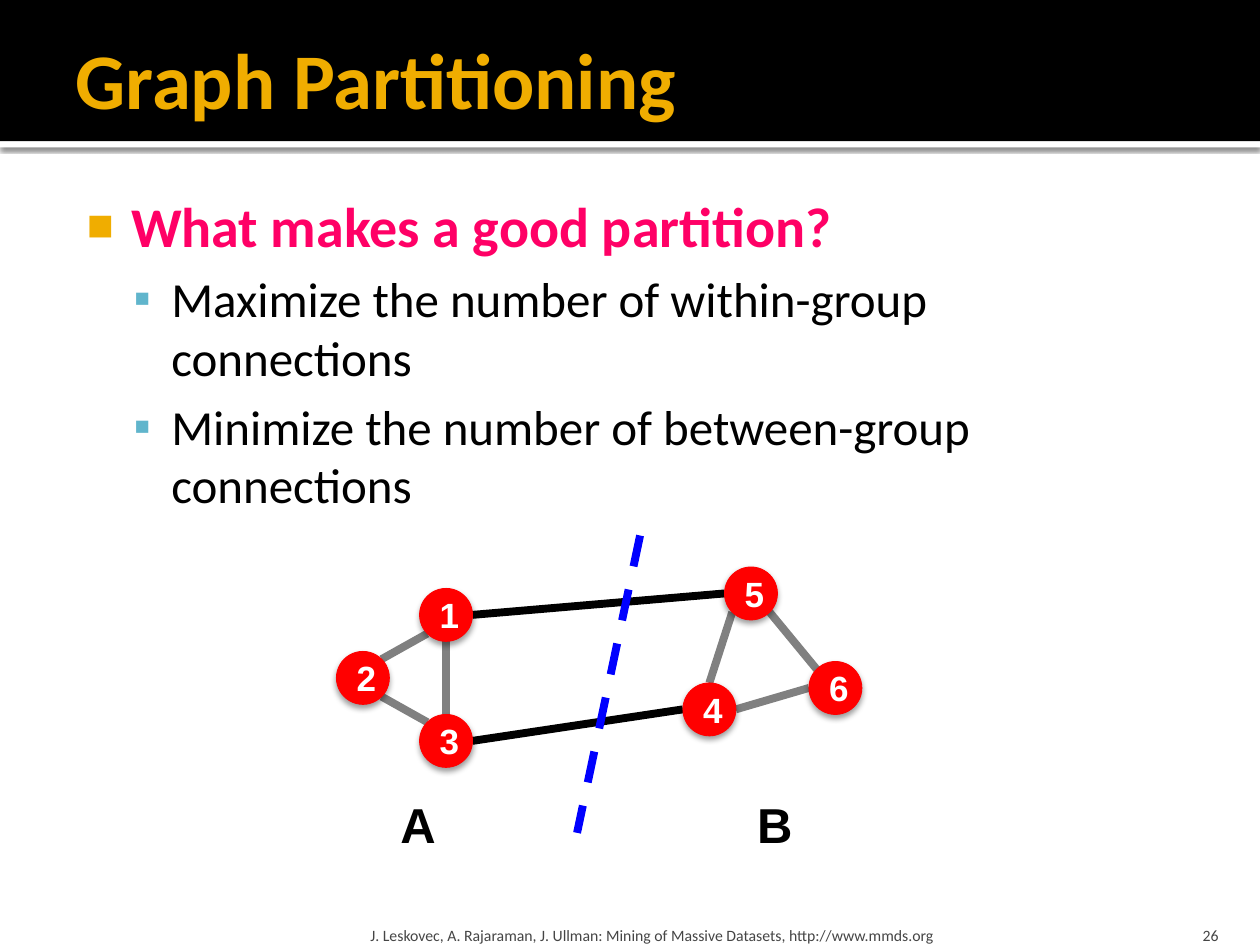
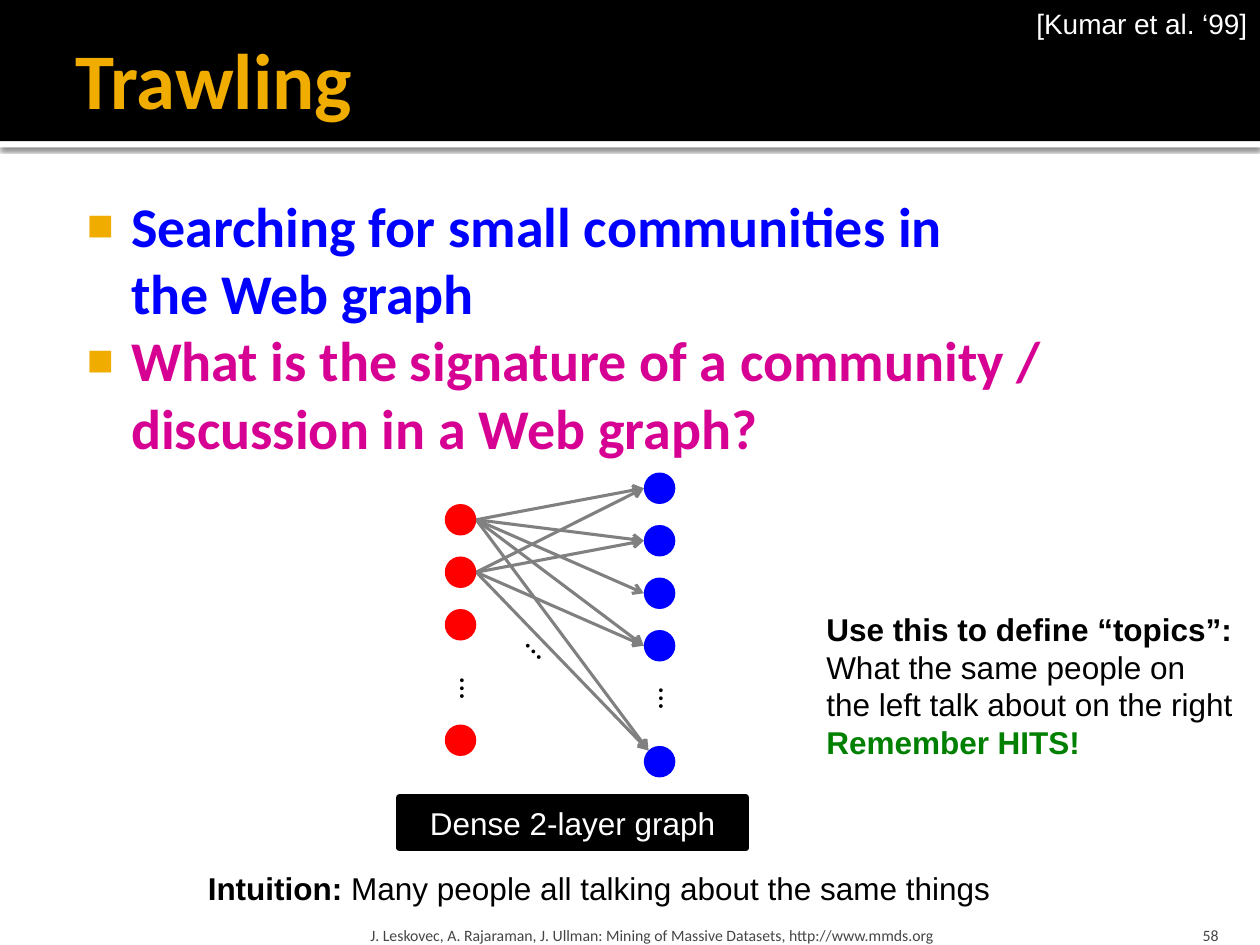
from dataclasses import dataclass
from math import cos, radians, sin

from lxml import etree
from pptx import Presentation
from pptx.dml.color import RGBColor
from pptx.enum.dml import MSO_LINE
from pptx.enum.shapes import MSO_CONNECTOR, MSO_SHAPE
from pptx.enum.text import MSO_ANCHOR, MSO_AUTO_SIZE, PP_ALIGN
from pptx.oxml.ns import qn
from pptx.util import Inches, Pt

RECTANGLE, ELLIPSE = MSO_SHAPE.RECTANGLE, MSO_SHAPE.OVAL
STRAIGHT = MSO_CONNECTOR.STRAIGHT
DASH = MSO_LINE.DASH
TOP, MIDDLE, BOTTOM = MSO_ANCHOR.TOP, MSO_ANCHOR.MIDDLE, MSO_ANCHOR.BOTTOM
LEFT, CENTER, RIGHT = PP_ALIGN.LEFT, PP_ALIGN.CENTER, PP_ALIGN.RIGHT
NO_FIT, GROW = MSO_AUTO_SIZE.NONE, MSO_AUTO_SIZE.SHAPE_TO_FIT_TEXT

COLORS = {
    "black": "000000", "white": "FFFFFF", "gold": "F0AD00", "teal": "60B5CC",
    "pink": "FF0066", "magenta": "D60093", "blue": "0000FF", "red": "FF0000",
    "green": "008000", "gray": "808080", "footer": "454545",
}
FOOTER = "J. Leskovec, A. Rajaraman, J. Ullman: Mining of Massive Datasets, http://www.mmds.org"
DEFAULT_INSETS = (0.1, 0.05, 0.1, 0.05)

# Directions on a node's rim, in degrees clockwise from the right
EAST, SOUTH_EAST, SOUTH, SOUTH_WEST, WEST, NORTH_WEST, NORTH = range(0, 271, 45)


@dataclass(frozen=True)
class Span:
    """A stretch of text in one format."""
    text: str
    size: float
    color: str = "black"
    bold: bool = False
    font: str = "Arial"


@dataclass(frozen=True)
class Bullet:
    text: str
    color: str = "black"
    level: int = 0


@dataclass(frozen=True)
class BulletStyle:
    size: float
    bold: bool
    margin: float
    hanging: float
    character: str
    color: str
    percent: int


BULLET_STYLES = [
    BulletStyle(32, True, 0.48, 0.35, "■", "gold", 80),
    BulletStyle(28, False, 0.8, 0.3, "▪", "teal", 100),
]


@dataclass(frozen=True)
class Shadow:
    opacity: int
    blur: float
    distance: float


BAND_SHADOW = Shadow(60, 2.5, 0.8)
NODE_SHADOW = Shadow(38, 3.5, 2)


@dataclass(frozen=True)
class Node:
    left: float
    top: float
    size: float

    def rim(self, degrees: float) -> tuple[float, float]:
        radius, angle = self.size / 2, radians(degrees)
        return (self.left + radius * (1 + cos(angle)),
                self.top + radius * (1 + sin(angle)))


def rgb(name: str) -> RGBColor:
    return RGBColor.from_string(COLORS[name])


def format_run(run, span: Span) -> None:
    run.font.name, run.font.size, run.font.bold = span.font, Pt(span.size), span.bold
    run.font.color.rgb = rgb(span.color)


def format_frame(text_frame, anchor, insets=DEFAULT_INSETS, wrap=True) -> None:
    text_frame.auto_size = NO_FIT if wrap else GROW
    text_frame.word_wrap = wrap
    text_frame.vertical_anchor = anchor
    (text_frame.margin_left, text_frame.margin_top,
     text_frame.margin_right, text_frame.margin_bottom) = map(Inches, insets)


def fill_text(text_frame, lines: list[list[Span]], align=LEFT) -> None:
    for index, spans in enumerate(lines):
        paragraph = text_frame.add_paragraph() if index else text_frame.paragraphs[0]
        paragraph.alignment = align
        for span in spans:
            first_run = len(paragraph.runs)
            if first_run:
                paragraph.add_run().text = span.text
            else:
                paragraph.text = span.text
            for run in paragraph.runs[first_run:]:
                format_run(run, span)


def add_text(slide, box, lines: list[list[Span]], align=LEFT, anchor=TOP,
             insets=DEFAULT_INSETS, wrap=False, rotation: float = 0) -> None:
    shape = slide.shapes.add_textbox(*map(Inches, box))
    shape.rotation = rotation
    format_frame(shape.text_frame, anchor, insets, wrap)
    fill_text(shape.text_frame, lines, align)


def add_block(slide, kind, box, fill: str, line_width: float = 0,
              shadow: Shadow | None = None, label: Span | None = None, anchor=MIDDLE):
    shape = slide.shapes.add_shape(kind, *map(Inches, box))
    shape.fill.solid()
    shape.fill.fore_color.rgb = rgb(fill)
    if line_width:
        shape.line.color.rgb = rgb(fill)
        shape.line.width = Pt(line_width)
    else:
        shape.line.fill.background()
    shape.shadow.inherit = False
    if shadow:
        effects = shape.element.spPr.find(qn("a:effectLst"))
        outer = etree.SubElement(
            effects, qn("a:outerShdw"), blurRad=str(Pt(shadow.blur)),
            dist=str(Pt(shadow.distance)), dir="5400000", algn="t", rotWithShape="0")
        color = etree.SubElement(outer, qn("a:srgbClr"), val=COLORS["black"])
        etree.SubElement(color, qn("a:alpha"), val=str(shadow.opacity * 1000))
    if label:
        format_frame(shape.text_frame, anchor)
        fill_text(shape.text_frame, [[label]], CENTER)
    return shape


def add_node(slide, node: Node, fill: str, **options) -> None:
    add_block(slide, ELLIPSE, (node.left, node.top, node.size, node.size), fill, **options)


def add_line(slide, start, end, color: str, width: float, dashed=False, arrow=False) -> None:
    connector = slide.shapes.add_connector(STRAIGHT, *map(Inches, (*start, *end)))
    connector.line.color.rgb = rgb(color)
    connector.line.width = Pt(width)
    if dashed:
        connector.line.dash_style = DASH
    properties = connector.element.spPr
    if arrow:
        etree.SubElement(properties.find(qn("a:ln")), qn("a:tailEnd"), type="arrow")
    etree.SubElement(properties, qn("a:effectLst"))


def place(shape, box) -> None:
    shape.left, shape.top, shape.width, shape.height = map(Inches, box)


def fill_bullets(text_frame, bullets: list[Bullet]) -> None:
    text_frame.text = "\n".join(bullet.text for bullet in bullets)
    for paragraph, bullet in zip(text_frame.paragraphs, bullets):
        style = BULLET_STYLES[bullet.level]
        paragraph.level = bullet.level
        properties = paragraph._p.get_or_add_pPr()
        properties.set("marL", str(Inches(style.margin)))
        properties.set("indent", str(-Inches(style.hanging)))
        color = etree.SubElement(properties, qn("a:buClr"))
        etree.SubElement(color, qn("a:srgbClr"), val=COLORS[style.color])
        etree.SubElement(properties, qn("a:buSzPct"), val=str(style.percent * 1000))
        etree.SubElement(properties, qn("a:buFont"), typeface="Arial")
        etree.SubElement(properties, qn("a:buChar"), char=style.character)
        if bullet.level == 0:
            paragraph.space_before = Pt(0)
        for run in paragraph.runs:
            format_run(run, Span("", style.size, bullet.color, style.bold, "Calibri"))


def prepare_layout(presentation, slide) -> None:
    """Put the header bands on the layout, behind every slide's content."""
    layout = slide.slide_layout
    for placeholder in list(layout.placeholders):
        if placeholder.placeholder_format.idx >= 10:
            placeholder.element.getparent().remove(placeholder.element)
    bands = [
        add_block(slide, RECTANGLE, (0, 1.12, 10, 0.05), "white", shadow=BAND_SHADOW),
        add_block(slide, RECTANGLE, (0, 0, 10, 1.12), "black"),
    ]
    for position, band in enumerate(bands, start=2):
        layout.shapes.element.insert(position, band.element)


def add_base_slide(presentation, title: str, bullets: list[Bullet], number: int):
    slide = presentation.slides.add_slide(presentation.slide_layouts[1])
    if len(presentation.slides) == 1:
        prepare_layout(presentation, slide)
    heading, body = slide.shapes.title, slide.placeholders[1]
    place(heading, (0.5, 0.08, 9, 1.08))
    format_frame(heading.text_frame, MIDDLE, (0.1, 0.05, 0.05, 0.05))
    fill_text(heading.text_frame, [[Span(title, 45, "gold", True, "Calibri")]])
    place(body, (0.5, 1.42, 9, 5.75))
    format_frame(body.text_frame, TOP, (0.06, 0.1, 0.1, 0.05))
    fill_bullets(body.text_frame, bullets)
    for text, left, width, inset, align in (
            (FOOTER, 2.89, 6.02, 0.05, LEFT), (str(number), 8.97, 0.8, 0.1, RIGHT)):
        add_text(slide, (left, 7.2, width, 0.3),
                 [[Span(text, 9, "footer", font="Calibri")]], align, BOTTOM,
                 (inset, 0.05, inset, 0), wrap=True)
    return slide


def build_partitioning(presentation) -> None:
    slide = add_base_slide(presentation, "Graph Partitioning", [
        Bullet("What makes a good partition?", "pink"),
        Bullet("Maximize the number of within-group\vconnections", level=1),
        Bullet("Minimize the number of between-group connections", level=1),
    ], 26)
    corners = {1: (3.33, 4.67), 3: (3.33, 5.67), 2: (2.67, 5.17),
               5: (5.75, 4.5), 4: (5.42, 5.42), 6: (6.42, 5.25)}
    nodes = {name: Node(*corner, 0.42) for name, corner in corners.items()}

    # Edges: black ones cross the cut
    edges = [
        (1, SOUTH_WEST, 2, -45, "gray"), (2, SOUTH_EAST, 3, NORTH_WEST, "gray"),
        (1, SOUTH, 3, NORTH, "gray"), (1, EAST, 5, WEST, "black"),
        (3, EAST, 4, WEST, "black"), (5, SOUTH_EAST, 6, NORTH_WEST, "gray"),
        (4, EAST, 6, WEST, "gray"), (5, SOUTH_WEST, 4, NORTH, "gray"),
    ]
    for source, leaving, target, entering, color in edges:
        add_line(slide, nodes[source].rim(leaving), nodes[target].rim(entering), color, 4.5)
    for name, node in nodes.items():
        add_node(slide, node, "red", line_width=0.5, shadow=NODE_SHADOW,
                 label=Span(str(name), 20, "white", True))

    # Cut and group names
    add_line(slide, (5.08, 4.25), (4.58, 6.61), "blue", 4.5, dashed=True)
    for group, left in (("A", 3.08), ("B", 5.91)):
        add_text(slide, (left, 6.26, 0.49, 0.57), [[Span(group, 28, bold=True)]])


def build_trawling(presentation) -> None:
    slide = add_base_slide(presentation, "Trawling", [
        Bullet("Searching for small communities in\vthe Web graph", "blue"),
        Bullet("What is the signature of a community / discussion in a Web graph?", "magenta"),
    ], 58)
    add_text(slide, (8.1, 0, 1.9, 0.37), [[Span("[Kumar et al. ‘99]", 16, "white")]], RIGHT)

    # Captions
    add_block(slide, RECTANGLE, (3.17, 6.33, 2.75, 0.4), "black", line_width=3.78,
              label=Span("Dense 2-layer graph", 18, "white"), anchor=TOP)
    add_text(slide, (1.17, 6.85, 7.17, 0.4), [[
        Span("Intuition:", 18, bold=True),
        Span(" Many people all talking about the same things", 18),
    ]], CENTER, wrap=True)

    # Two-layer graph: evenly spaced nodes, then the last one after a gap
    step = 5 / 12
    sources = [Node(3.53, 4 + step * row, 0.25) for row in range(3)] + [Node(3.53, 5.75, 0.25)]
    targets = [Node(5.11, 3.75 + step * row, 0.25) for row in range(4)] + [Node(5.11, 5.92, 0.25)]
    for source, linked in ((0, range(5)), (1, (0, 1, 3, 4))):
        for target in linked:
            entering = NORTH_WEST if target == 4 else WEST
            add_line(slide, sources[source].rim(EAST), targets[target].rim(entering),
                     "gray", 1.75, arrow=True)
    for layer, color in ((sources, "red"), (targets, "blue")):
        for node in layer:
            add_node(slide, node, color)
    for left, top, rotation in ((3.38, 5.25, 270), (4.96, 5.33, 270), (3.96, 5.02, 225.9)):
        add_text(slide, (left, top, 0.4, 0.4), [[Span("…", 18, font="Calibri")]],
                 rotation=rotation)

    # Remark
    add_text(slide, (6.46, 4.79, 3.46, 1.31), [
        [Span("Use this to define “topics”:", 18, bold=True)],
        [Span("What the same people on\vthe left talk about on the right", 18)],
        [Span("Remember HITS!", 18, "green", True)],
    ])


def main() -> None:
    presentation = Presentation()
    presentation.slide_width, presentation.slide_height = Inches(10), Inches(7.5)
    build_partitioning(presentation)
    build_trawling(presentation)
    presentation.save("out.pptx")


if __name__ == "__main__":
    main()
